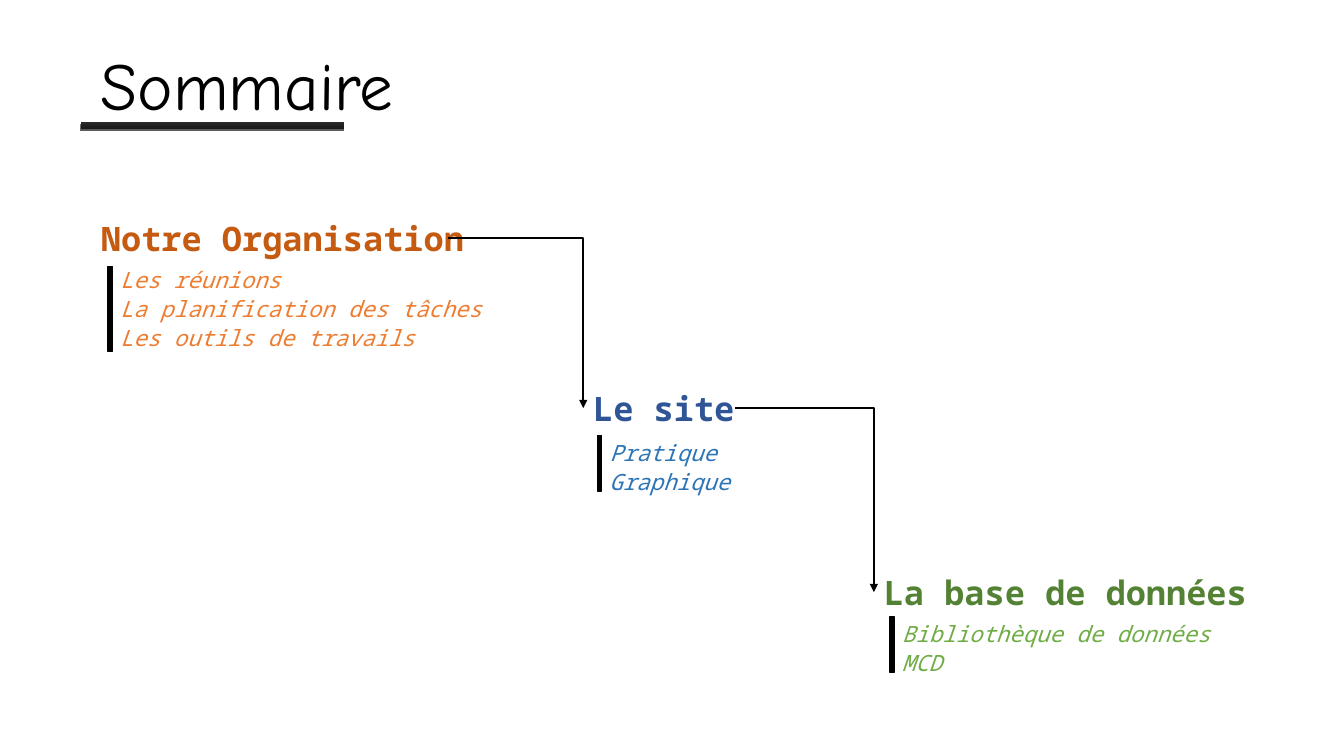
from lxml import etree
from pptx import Presentation
from pptx.dml.color import RGBColor
from pptx.enum import shapes, text
from pptx.oxml import ns
from pptx.util import Pt

TITLE = "Sommaire"
MONO = "Noto Sans Mono"
SECTIONS = [
    {"heading": "Notre Organisation", "at": (65, 152), "width": 274.3,
     "items": ["Les réunions", "La planification des tâches", "Les outils de travails"],
     "items_at": (78.7, 186.5), "bar_middle": 220.7, "colors": ("C55A11", "ED7D31"),
     "arrow_start": 320.2},
    {"heading": "Le site", "at": (416.6, 273.6), "width": 115.9,
     "items": ["Pratique", "Graphique"],
     "items_at": (428.3, 310), "bar_middle": 331, "colors": ("2F5597", "2E75B6"),
     "arrow_start": 524.9},
    {"heading": "La base de données", "at": (624.2, 405), "width": 274.3,
     "items": ["Bibliothèque de données", "MCD"],
     "items_at": (637.2, 439.2), "bar_middle": 460.4, "colors": ("548235", "70AD47"),
     "arrow_start": None},
]
ITEM_PITCH = 20.8
HEADING_HEIGHT = 36
CHAR_WIDTH = 9.6
BAR_THICKNESS = 12.4


def color(value):
    return RGBColor.from_string(value)


def points(*values):
    return [Pt(value) for value in values]


def write(box, wording, font, ink):
    frame = box.text_frame
    frame_format = {"word_wrap": False, "auto_size": text.MSO_AUTO_SIZE.NONE,
                    "vertical_anchor": text.MSO_ANCHOR.TOP,
                    "margin_left": Pt(7.2), "margin_right": Pt(7.2),
                    "margin_top": Pt(3.6), "margin_bottom": Pt(3.6)}
    for name, value in frame_format.items():
        setattr(frame, name, value)
    para = frame.paragraphs[0]
    para.alignment = text.PP_ALIGN.LEFT
    span = para.add_run()
    span.text = wording
    for name, value in font.items():
        setattr(span.font, name, value)
    span.font.color.rgb = color(ink)


def add_text(page, place, wording, font, ink):
    write(page.shapes.add_textbox(*points(*place)), wording, font, ink)


def add_minus(page, place):
    minus = page.shapes.add_shape(shapes.MSO_SHAPE.MATH_MINUS, *points(*place))
    minus.shadow.inherit = False
    return minus


def add_bar(page, center, middle, length):
    """Add an upright bar, which is a minus sign turned by 90 degrees."""
    bar = add_minus(page, (center - length / 2, middle - BAR_THICKNESS / 2,
                           length, BAR_THICKNESS))
    bar.rotation = 90
    bar.fill.solid()
    bar.fill.fore_color.rgb = color("000000")
    bar.line.color.rgb = color("000000")
    bar.line.width = Pt(1)


def add_underline(page):
    bar = add_minus(page, (23.8, 80.5, 255.8, 18))
    bar.line.fill.background()
    bar.fill.gradient()
    bar.fill.gradient_angle = 270
    for stop, (position, ink) in zip(bar.fill.gradient_stops, [(0, "454545"), (1, "000000")]):
        stop.position = position
        stop.color.rgb = color(ink)
    effects = bar._element.spPr.find(ns.qn("a:effectLst"))
    shadow = etree.SubElement(effects, ns.qn("a:outerShdw"), blurRad="0",
                              dist=str(Pt(1.5)), dir="5400000", rotWithShape="0")
    ink = etree.SubElement(shadow, ns.qn("a:srgbClr"), val="000000")
    etree.SubElement(ink, ns.qn("a:alpha"), val="63000")


def add_arrow(page, start, end):
    """Draw a one-corner arrow, across and then down."""
    arrow = page.shapes.add_connector(shapes.MSO_CONNECTOR.ELBOW, *points(*start, *end))
    arrow.line.color.rgb = color("000000")
    arrow.line.width = Pt(1.5)
    properties = arrow._element.spPr
    properties.find(ns.qn("a:prstGeom")).set("prst", "bentConnector2")
    etree.SubElement(properties.find(ns.qn("a:ln")), ns.qn("a:tailEnd"), type="triangle")
    etree.SubElement(properties, ns.qn("a:effectLst"))


def add_section(page, section):
    heading_ink, item_ink = section["colors"]
    add_text(page, (*section["at"], section["width"], HEADING_HEIGHT), section["heading"],
             {"name": MONO, "size": Pt(24), "bold": True}, heading_ink)
    left, top = section["items_at"]
    for row, item in enumerate(section["items"]):
        place = (left, top + row * ITEM_PITCH, len(item) * CHAR_WIDTH + 14.4, 26.6)
        add_text(page, place, item, {"name": MONO, "size": Pt(16), "italic": True}, item_ink)
    add_bar(page, left, section["bar_middle"], len(section["items"]) * 28.8 - 3.6)


def main():
    deck = Presentation()
    deck.slide_width, deck.slide_height = points(960, 540)
    page = deck.slides.add_slide(deck.slide_layouts[5])
    title = page.shapes.title
    title.left, title.top, title.width, title.height = points(64.8, 27.4, 244.8, 65.5)
    write(title, TITLE, {"name": "Comic Neue", "size": Pt(48)}, "000000")
    add_underline(page)
    for section in SECTIONS:
        add_section(page, section)
    for section, following in zip(SECTIONS, SECTIONS[1:]):
        start_top = section["at"][1] + HEADING_HEIGHT / 2
        end_left, end_top = following["at"]
        add_arrow(page, (section["arrow_start"], start_top),
                  (end_left, end_top + HEADING_HEIGHT / 2))
    deck.save("out.pptx")


if __name__ == "__main__":
    main()
